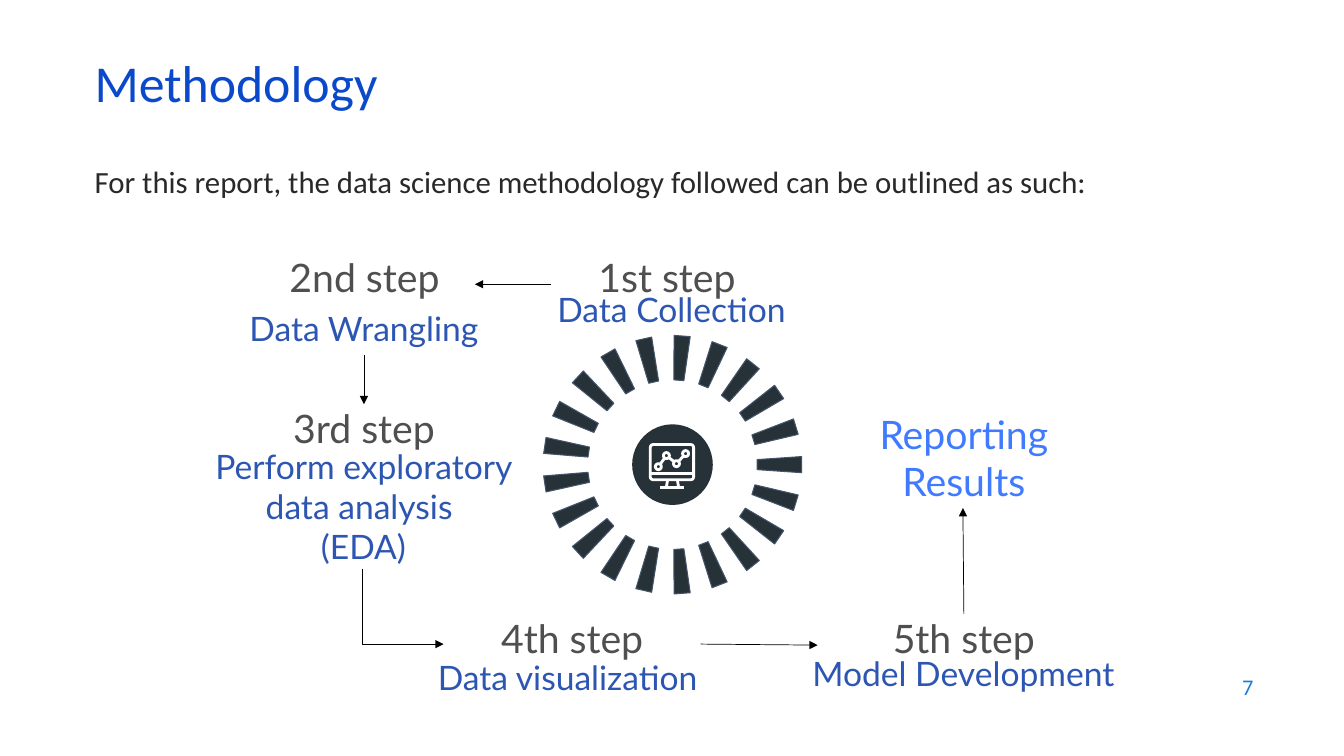
import math
from dataclasses import dataclass

import pptx
import pptx.dml.color
import pptx.enum.shapes
import pptx.enum.text
import pptx.oxml.ns
import pptx.util
from lxml import etree
from pptx.util import Inches

ALIGN = pptx.enum.text.PP_ALIGN
ANCHOR = pptx.enum.text.MSO_ANCHOR
SHAPE = pptx.enum.shapes.MSO_SHAPE
CONNECTOR = pptx.enum.shapes.MSO_CONNECTOR


@dataclass(frozen=True)
class Theme:
    body_font: str = "Calibri"
    step_font: str = "Lato"
    title: str = "0B49CB"
    body: str = "292929"
    number: str = "1C7DDB"
    step: str = "4F4F4F"
    label: str = "2D56B3"
    result: str = "407BFF"
    dark: str = "263238"
    tooth_line: str = "44546A"
    arrow: str = "000000"
    white: str = "FFFFFF"
    title_size: float = 37
    body_size: float = 22
    number_size: float = 16
    step_size: float = 28
    label_size: float = 24
    icon_line: float = 2


class MethodologySlide:
    """Draws the elements of the methodology slide in one theme."""

    def __init__(self, slide, theme):
        self.shapes = slide.shapes
        self.theme = theme

    def color(self, value):
        return pptx.dml.color.RGBColor.from_string(value)

    def text(self, box, words, size, color, font=None, align=ALIGN.LEFT,
             anchor=ANCHOR.TOP, insets=(0.1, 0.05, 0.1, 0.05), spacing=None):
        frame = self.shapes.add_textbox(*map(Inches, box)).text_frame
        frame.word_wrap = True
        frame.vertical_anchor = anchor
        (frame.margin_left, frame.margin_top,
         frame.margin_right, frame.margin_bottom) = map(Inches, insets)
        frame.text = words
        for paragraph in frame.paragraphs:
            paragraph.alignment = align
            paragraph.line_spacing = spacing
            for run in paragraph.runs:
                run.font.name = font or self.theme.body_font
                run.font.size = pptx.util.Pt(size)
                run.font.color.rgb = self.color(color)

    def flow_text(self, box, words, size, color, top_inset=0):
        self.text(box, words, size, color, self.theme.step_font, ALIGN.CENTER,
                  insets=(0.13, top_inset, 0.13, 0.13))

    def step(self, heading_box, heading, label_box, label):
        theme = self.theme
        self.flow_text(heading_box, heading, theme.step_size, theme.step)
        self.flow_text(label_box, label, theme.label_size, theme.label)

    def paint(self, shape, fill=None, line=None, width=0.75):
        shape.shadow.inherit = False
        if fill:
            shape.fill.solid()
            shape.fill.fore_color.rgb = self.color(fill)
        else:
            shape.fill.background()
        if line:
            shape.line.color.rgb = self.color(line)
            shape.line.width = pptx.util.Pt(width)
        else:
            shape.line.fill.background()

    def circle(self, center, radius, fill, line=None, width=0.75):
        x, y = center
        shape = self.shapes.add_shape(
            SHAPE.OVAL, Inches(x - radius), Inches(y - radius),
            Inches(2 * radius), Inches(2 * radius))
        self.paint(shape, fill, line, width)

    def line(self, start, end, color, width, kind=CONNECTOR.STRAIGHT):
        connector = self.shapes.add_connector(kind, *map(Inches, (*start, *end)))
        connector.line.color.rgb = self.color(color)
        connector.line.width = pptx.util.Pt(width)
        etree.SubElement(connector.element.spPr, pptx.oxml.ns.qn("a:effectLst"))
        return connector

    def arrow(self, start, end, width=0.5, kind=CONNECTOR.STRAIGHT):
        connector = self.line(start, end, self.theme.arrow, width, kind)
        outline = connector.line._get_or_add_ln()
        etree.SubElement(outline, pptx.oxml.ns.qn("a:tailEnd"), type="triangle")
        return connector

    def corner_arrow(self, start, end):
        middle_x, middle_y = (start[0] + end[0]) / 2, (start[1] + end[1]) / 2
        half_width, half_height = (end[1] - start[1]) / 2, (end[0] - start[0]) / 2
        connector = self.arrow((middle_x + half_width, middle_y - half_height),
                               (middle_x - half_width, middle_y + half_height),
                               0.75, CONNECTOR.ELBOW)
        properties = connector.element.spPr
        properties.find(pptx.oxml.ns.qn("a:xfrm")).set("rot", "16200000")
        properties.find(pptx.oxml.ns.qn("a:prstGeom")).set("prst", "bentConnector2")

    def tooth(self, center, angle, inner=(0.84, 0.05), outer=(1.28, 0.08)):
        cosine, sine = math.cos(angle), math.sin(angle)
        corners = [(inner[0], -inner[1]), (outer[0], -outer[1]), outer, inner]
        points = [(Inches(center[0] + radius * cosine - side * sine),
                   Inches(center[1] + radius * sine + side * cosine))
                  for radius, side in corners]
        builder = self.shapes.build_freeform(*points[0])
        builder.add_line_segments(points[1:], close=True)
        self.paint(builder.convert_to_shape(), self.theme.dark, self.theme.tooth_line)

    def wheel(self, center, teeth=21):
        for index in range(teeth):
            self.tooth(center, math.tau * index / teeth)

    def monitor_icon(self, center):
        theme = self.theme
        self.circle(center, 0.4, theme.dark)
        screen = self.shapes.add_shape(
            SHAPE.ROUNDED_RECTANGLE, Inches(6.45), Inches(4.41), Inches(0.43), Inches(0.35))
        screen.adjustments[0] = 0.08
        self.paint(screen, None, theme.white, theme.icon_line)
        nodes = [(6.53, 4.63), (6.61, 4.52), (6.71, 4.6), (6.8, 4.5)]
        stand = [((6.45, 4.7), (6.88, 4.7)), ((6.62, 4.77), (6.61, 4.83)),
                 ((6.72, 4.77), (6.73, 4.83)), ((6.55, 4.84), (6.78, 4.84))]
        for start, end in stand + list(zip(nodes, nodes[1:])):
            self.line(start, end, theme.white, theme.icon_line)
        for node in nodes:
            self.circle(node, 0.03, theme.dark, theme.white, theme.icon_line)


def main():
    presentation = pptx.Presentation()
    presentation.slide_width = Inches(13.33)
    presentation.slide_height = Inches(7.5)
    theme = Theme()
    page = MethodologySlide(
        presentation.slides.add_slide(presentation.slide_layouts[6]), theme)

    page.text((9.53, 6.59, 3, 0.44), "7", theme.number_size, theme.number,
              align=ALIGN.RIGHT, anchor=ANCHOR.MIDDLE)
    page.text((0.84, 1.57, 11.05, 1.04),
              "For this report, the data science methodology followed can be outlined as such:",
              theme.body_size, theme.body)
    page.text((0.84, 0.59, 11.5, 0.6), "Methodology", theme.title_size, theme.title,
              anchor=ANCHOR.MIDDLE, spacing=0.7)

    hub = (6.67, 4.61)
    page.wheel(hub)
    page.monitor_icon(hub)

    steps = [
        ((5.47, 2.51, 2.29, 0.61), "1st step", (5.21, 2.87, 2.9, 0.34), "Data Collection"),
        ((2.51, 2.51, 2.21, 0.61), "2nd step", (2.16, 3.05, 2.9, 0.47), "Data Wrangling"),
        ((2.24, 4.01, 2.74, 0.61), "3rd step", (1.82, 4.42, 3.57, 1.23),
         "Perform exploratory data analysis \n(EDA)"),
        ((4.4, 6.09, 2.55, 0.61), "4th step", (4.18, 6.52, 2.9, 0.34), "Data visualization"),
        ((8.11, 6.09, 2.9, 0.61), "5th step", (7.87, 6.48, 3.37, 0.34), "Model Development"),
    ]
    for step in steps:
        page.step(*step)
    page.flow_text((8.11, 3.99, 2.9, 1.06), "Reporting Results",
                   theme.step_size, theme.result, top_inset=0.08)

    page.arrow((5.47, 2.82), (4.71, 2.82))
    page.arrow((3.61, 3.52), (3.61, 4.01))
    page.corner_arrow((3.6, 5.64), (4.4, 6.39))
    page.arrow((6.95, 6.39), (8.11, 6.4))
    page.arrow((9.56, 6.09), (9.55, 5.04))
    presentation.save("out.pptx")


if __name__ == "__main__":
    main()
